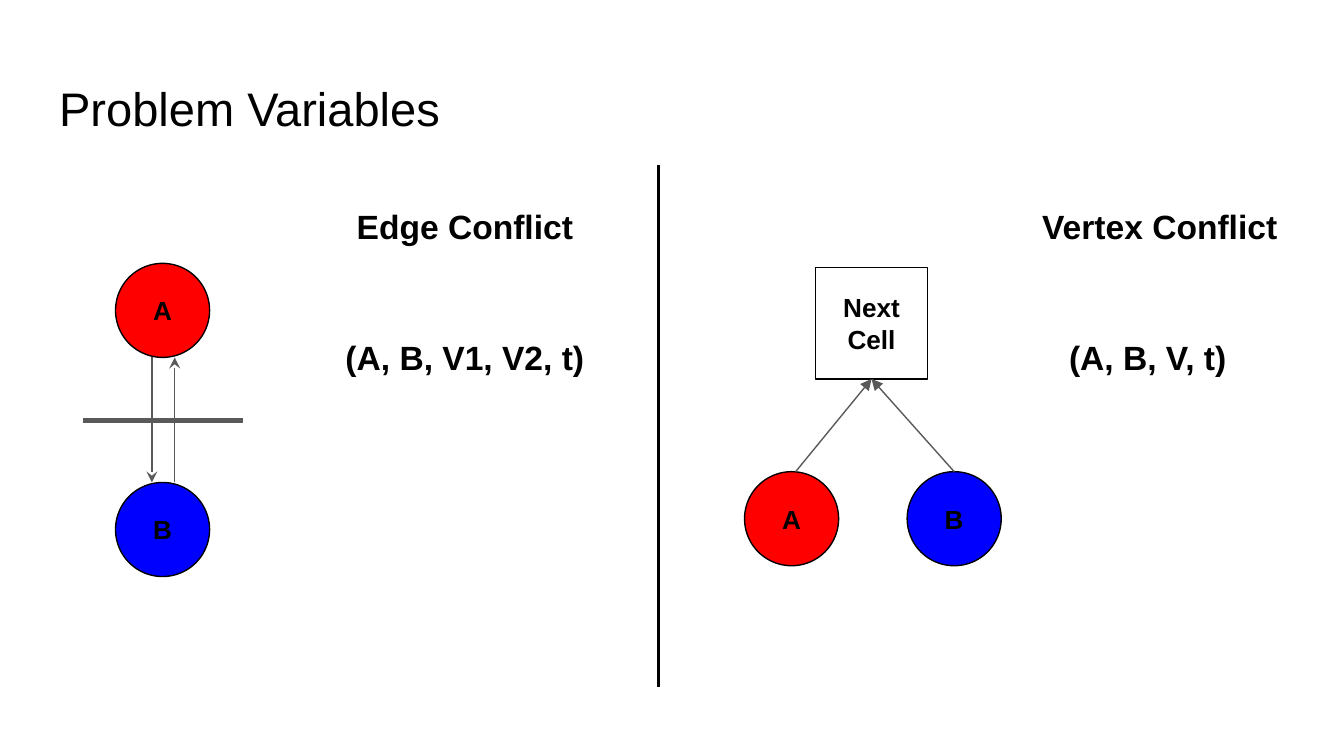
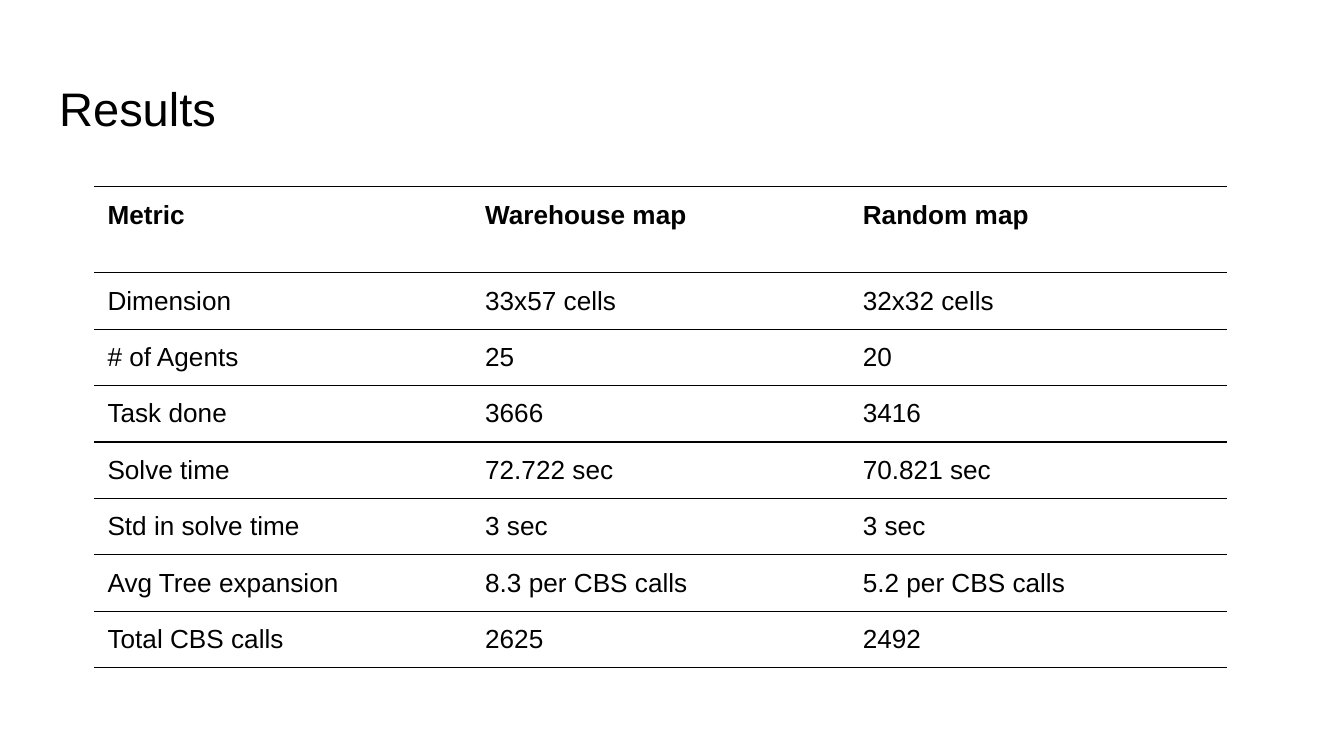
"""Builds two slides: conflict diagrams and a results table."""
from lxml import etree
from pptx import Presentation
from pptx.dml.color import RGBColor
from pptx.enum.shapes import MSO_CONNECTOR, MSO_SHAPE
from pptx.enum.text import MSO_ANCHOR, PP_ALIGN
from pptx.oxml.ns import qn
from pptx.util import Inches, Pt

LINE = MSO_CONNECTOR.STRAIGHT
OVAL, RECT = MSO_SHAPE.OVAL, MSO_SHAPE.RECTANGLE
TOP, MID = MSO_ANCHOR.TOP, MSO_ANCHOR.MIDDLE
LEFT, CENTER = PP_ALIGN.LEFT, PP_ALIGN.CENTER
BOTTOM = 2

WIDE = 10
HIGH = WIDE * 9 / 16
FONT = "Arial"
BLACK, WHITE, GRAY, RED, BLUE = "000000", "FFFFFF", "595959", "FF0000", "0000FF"
PAD, THIN = 0.1, 0.75

DISC, CELL = 0.7, 0.83
AGENTS = [
    ("A", RED, 0.86, 1.96),
    ("B", BLUE, 0.86, 3.59),
    ("A", RED, 5.54, 3.51),
    ("B", BLUE, 6.75, 3.51),
]
LABELS = [
    ("Edge Conflict", 2.38, 1.43, 0.78),
    ("Vertex Conflict", 7.55, 1.43, 0.78),
    ("(A, B, V1, V2, t)", 2.38, 2.41, 1.18),
    ("(A, B, V, t)", 7.46, 2.41, 1.18),
]
RULES = [
    ((0.62, 3.13), (1.81, 3.13), GRAY, 3, None),
    ((1.13, 2.66), (1.13, 3.59), GRAY, THIN, "stealth"),
    ((1.3, 3.59), (1.3, 2.66), GRAY, THIN, "stealth"),
    ((4.9, 1.23), (4.9, 5.11), BLACK, 1.5, None),
]
MOVES = [(5.92, 3.51), (7.1, 3.51)]

RESULTS = [
    ("Metric", "Warehouse map", "Random map"),
    ("Dimension", "33x57 cells", "32x32 cells"),
    ("# of Agents", "25", "20"),
    ("Task done", "3666", "3416"),
    ("Solve time", "72.722 sec", "70.821 sec"),
    ("Std in solve time", "3 sec", "3 sec"),
    ("Avg Tree expansion", "8.3 per CBS calls", "5.2 per CBS calls"),
    ("Total CBS calls", "2625", "2492"),
]
COL, HEAD, ROW = 2.81, 0.64, 0.42


def color(code):
    return RGBColor.from_string(code)


def box(*sizes):
    return [Inches(size) for size in sizes]


def write(frame, text, size, bold=False, align=LEFT):
    frame.text = text
    para = frame.paragraphs[0]
    para.alignment = align
    font = para.font
    font.name, font.size, font.bold = FONT, Pt(size), bold
    font.color.rgb = color(BLACK)


def pad(item):
    item.margin_left = item.margin_right = Inches(PAD)
    item.margin_top = item.margin_bottom = Inches(PAD)


def fit(frame, anchor):
    pad(frame)
    frame.word_wrap = True
    frame.vertical_anchor = anchor


def start(deck, text):
    slide = deck.slides.add_slide(deck.slide_layouts[5])
    title = slide.shapes.title
    title.left, title.top, title.width, title.height = box(0.34, 0.49, 9.32, 0.63)
    fit(title.text_frame, TOP)
    write(title.text_frame, text, 25.2)
    return slide


def node(slide, kind, text, fill, x, y, side):
    shape = slide.shapes.add_shape(kind, *box(x, y, side, side))
    shape.shadow.inherit = False
    shape.fill.solid()
    shape.fill.fore_color.rgb = color(fill)
    shape.line.color.rgb = color(BLACK)
    shape.line.width = Pt(THIN)
    fit(shape.text_frame, MID)
    write(shape.text_frame, text, 14, True, CENTER)
    return shape


def rule(slide, begin, end, tint, width, tip=None):
    line = slide.shapes.add_connector(LINE, *box(*begin, *end))
    line.line.color.rgb = color(tint)
    line.line.width = Pt(width)
    if tip:
        etree.SubElement(line.line._get_or_add_ln(), qn("a:tailEnd"), type=tip)
    etree.SubElement(line._element.spPr, qn("a:effectLst"))
    return line


def edge(cell):
    props = cell._tc.get_or_add_tcPr()
    for spot, side in enumerate("LRTB"):
        line = etree.Element(qn(f"a:ln{side}"), w=str(Pt(THIN)))
        if side in "TB":
            fill = etree.SubElement(line, qn("a:solidFill"))
            etree.SubElement(fill, qn("a:srgbClr"), val=BLACK)
        else:
            etree.SubElement(line, qn("a:noFill"))
        props.insert(spot, line)


def draw(deck):
    slide = start(deck, "Problem Variables")
    for text, fill, x, y in AGENTS:
        node(slide, OVAL, text, fill, x, y, DISC)
    goal = node(slide, RECT, "Next Cell", WHITE, 6.07, 1.99, CELL)
    for begin in MOVES:
        move = rule(slide, begin, (6.49, 2.82), GRAY, THIN, "triangle")
        move.end_connect(goal, BOTTOM)
    for item in RULES:
        rule(slide, *item)
    for text, x, y, high in LABELS:
        label = slide.shapes.add_textbox(*box(x, y, 2.16, high))
        fit(label.text_frame, TOP)
        write(label.text_frame, text, 18, True, CENTER)


def tabulate(deck):
    slide = start(deck, "Results")
    rows, cols = len(RESULTS), len(RESULTS[0])
    high = HEAD + ROW * (rows - 1)
    table = slide.shapes.add_table(rows, cols, *box(0.7, 1.39, COL * cols, high)).table
    table.horz_banding = False
    for col in table.columns:
        col.width = Inches(COL)
    for r, texts in enumerate(RESULTS):
        table.rows[r].height = Inches(ROW if r else HEAD)
        for c, text in enumerate(texts):
            cell = table.cell(r, c)
            pad(cell)
            cell.fill.background()
            edge(cell)
            write(cell.text_frame, text, 14, r == 0)


def main():
    deck = Presentation()
    deck.slide_width, deck.slide_height = box(WIDE, HIGH)
    draw(deck)
    tabulate(deck)
    deck.save("out.pptx")


if __name__ == "__main__":
    main()
